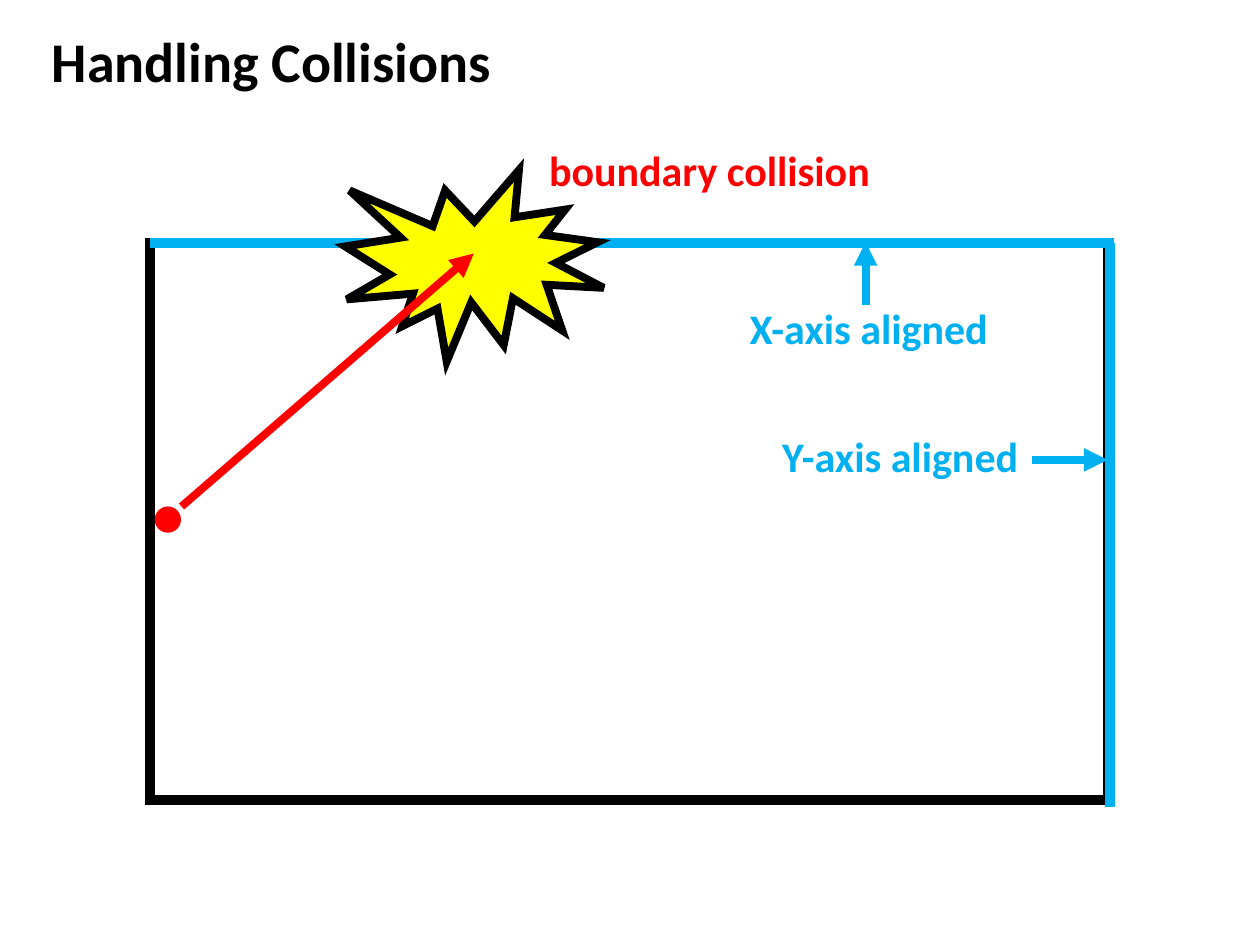
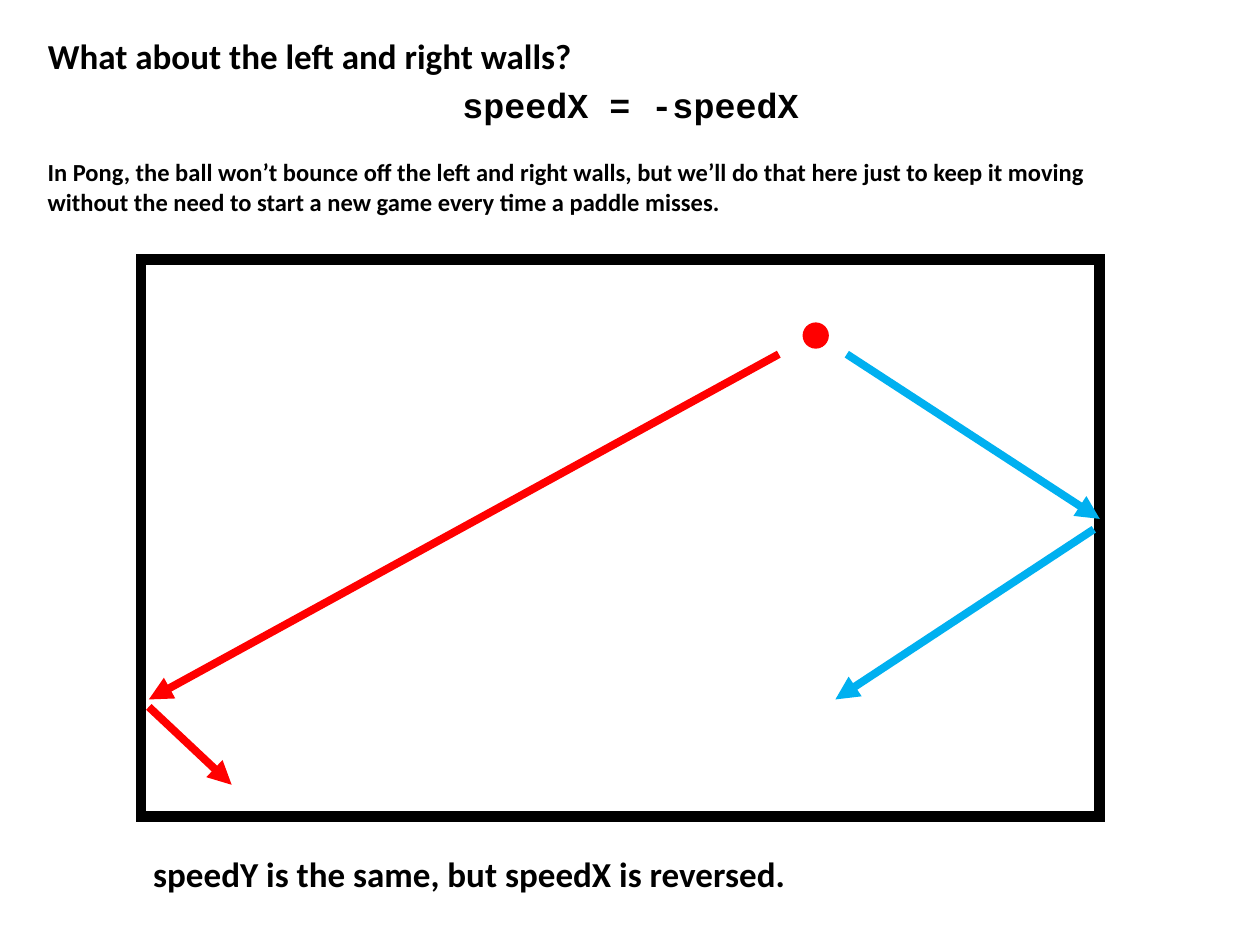
from lxml import etree
from pptx import Presentation
from pptx.dml.color import RGBColor
from pptx.enum.shapes import MSO_CONNECTOR, MSO_SHAPE
from pptx.enum.text import MSO_ANCHOR, MSO_AUTO_SIZE, PP_ALIGN
from pptx.oxml.ns import qn
from pptx.util import Cm, Pt

BLACK, RED, BLUE, YELLOW = "000000", "FF0000", "00B0F0", "FFFF00"
BODY_FONT, CODE_FONT = "Calibri", "Courier New"
TITLE_ONLY = 5
COURT_W, COURT_H = 19.33, 11.23
BALL_SIZE = 0.53
WALL_PT, ARROW_PT = 6, 4.5


def color(hex_code):
    return RGBColor.from_string(hex_code)


def write(sp, text, size, hex_code=BLACK, font=BODY_FONT, wrap=False):
    """Fill a text box or title with one bold, top-left run."""
    tf = sp.text_frame
    tf.word_wrap = wrap
    tf.auto_size = MSO_AUTO_SIZE.SHAPE_TO_FIT_TEXT
    tf.vertical_anchor = MSO_ANCHOR.TOP
    p = tf.paragraphs[0]
    p.alignment = PP_ALIGN.LEFT
    r = p.add_run()
    r.text = text
    r.font.name = font
    r.font.size = Pt(size)
    r.font.bold = True
    r.font.color.rgb = color(hex_code)


def add_titled_slide(prs, text, size, x, y, w, h):
    slide = prs.slides.add_slide(prs.slide_layouts[TITLE_ONLY])
    title = slide.shapes.title
    title.left, title.top, title.width, title.height = map(Cm, (x, y, w, h))
    write(title, text, size)
    return slide


def add_label(slide, text, x, y, w, h, size=24, **style):
    box = slide.shapes.add_textbox(Cm(x), Cm(y), Cm(w), Cm(h))
    write(box, text, size, **style)


def add_figure(slide, kind, x, y, w, h, fill=None, line_pt=None):
    """Add a preset shape, with a sharp black outline if line_pt is given."""
    sp = slide.shapes.add_shape(kind, Cm(x), Cm(y), Cm(w), Cm(h))
    sp.shadow.inherit = False
    if fill:
        sp.fill.solid()
        sp.fill.fore_color.rgb = color(fill)
    else:
        sp.fill.background()
    if line_pt:
        sp.line.width = Pt(line_pt)
        sp.line.color.rgb = color(BLACK)
        etree.SubElement(sp.line._get_or_add_ln(), qn("a:miter"), lim="800000")
    else:
        sp.line.fill.background()


def add_court(slide, x, y):
    add_figure(slide, MSO_SHAPE.RECTANGLE, x, y, COURT_W, COURT_H, line_pt=WALL_PT)


def add_ball(slide, x, y):
    add_figure(slide, MSO_SHAPE.OVAL, x, y, BALL_SIZE, BALL_SIZE, fill=RED)


def add_line(slide, start, end, hex_code, width=WALL_PT):
    points = map(Cm, (*start, *end))
    line = slide.shapes.add_connector(MSO_CONNECTOR.STRAIGHT, *points)
    line.line.width = Pt(width)
    line.line.color.rgb = color(hex_code)
    etree.SubElement(line._element.spPr, qn("a:effectLst"))
    return line


def add_arrow(slide, start, end, hex_code):
    arrow = add_line(slide, start, end, hex_code, ARROW_PT)
    etree.SubElement(arrow.line._get_or_add_ln(), qn("a:tailEnd"), type="triangle")


def build_collisions(prs):
    slide = add_titled_slide(prs, "Handling Collisions", 32, 0.79, 0.41, 9.45, 1.63)
    add_court(slide, 3.02, 4.9)
    add_ball(slide, 3.12, 10.21)
    add_label(slide, "boundary collision", 10.82, 2.79, 7.06, 1.27, hex_code=RED)

    add_arrow(slide, (20.8, 9.27), (22.33, 9.27), BLUE)
    add_label(slide, "Y-axis aligned", 15.52, 8.56, 5.38, 1.27, hex_code=BLUE)
    add_line(slide, (22.38, 4.9), (22.38, 16.26), BLUE)

    add_label(slide, "X-axis aligned", 14.86, 5.97, 5.38, 1.27, hex_code=BLUE)
    add_arrow(slide, (17.45, 6.15), (17.45, 4.88), BLUE)
    add_line(slide, (22.45, 4.9), (3.02, 4.9), BLUE)

    add_figure(slide, MSO_SHAPE.EXPLOSION1, 6.96, 3.43, 5.21, 3.86,
               fill=YELLOW, line_pt=ARROW_PT)
    add_arrow(slide, (3.66, 10.21), (9.55, 5.11), RED)


def build_side_walls(prs):
    slide = add_titled_slide(prs, "What about the left and right walls?", 20,
                             0.71, 0.56, 11.18, 1.12)
    add_court(slide, 2.84, 5.23)
    add_ball(slide, 16.18, 6.5)
    add_label(slide, "speedX = -speedX", 9.07, 1.55, 7.34, 1.12, size=20, font=CODE_FONT)

    for start, end, hex_code in (
        ((17.07, 7.14), (22.17, 10.46), BLUE),
        ((22.05, 10.67), (16.84, 14.1), BLUE),
        ((15.7, 7.14), (3, 14.1), RED),
        ((3, 14.25), (4.67, 15.82), RED),
    ):
        add_arrow(slide, start, end, hex_code)

    add_label(slide, "speedY is the same, but speedX is reversed.",
              2.84, 17.07, 13.39, 1.12, size=20)
    add_label(slide, "In Pong, the ball won’t bounce off the left and right walls, "
              "but we’ll do that here just to keep it moving without the need to "
              "start a new game every time a paddle misses.",
              0.71, 3.05, 22.3, 1.45, size=14, wrap=True)


def main():
    prs = Presentation()
    prs.slide_width, prs.slide_height = Cm(25.4), Cm(19.05)
    build_collisions(prs)
    build_side_walls(prs)
    prs.save("out.pptx")


if __name__ == "__main__":
    main()
